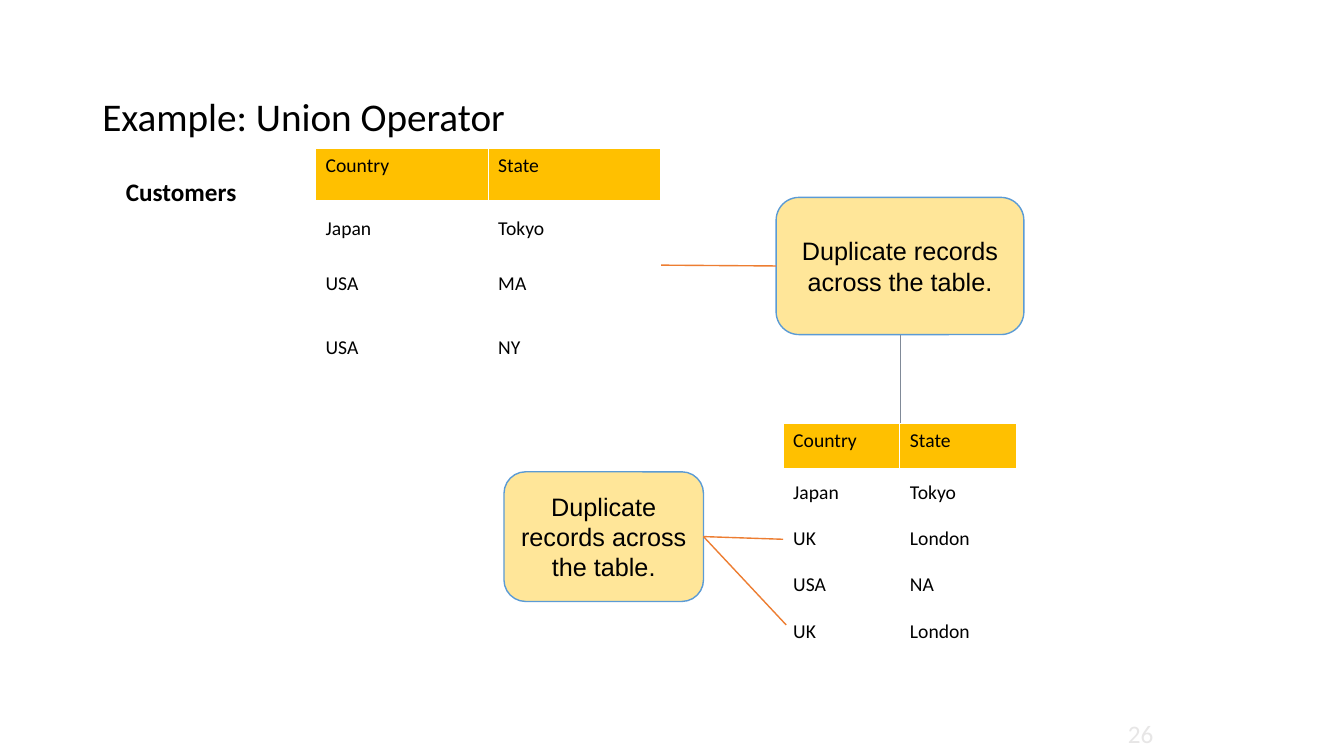
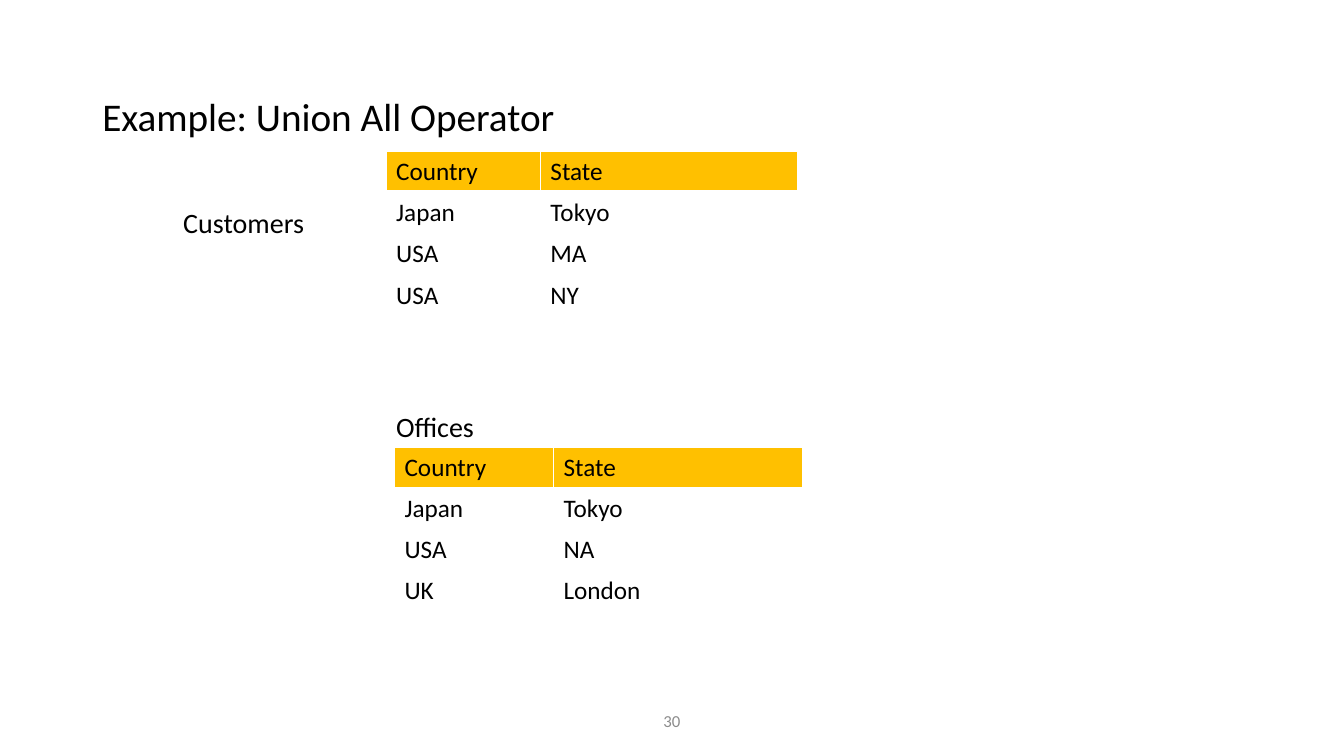
from lxml import etree
from pptx import Presentation
from pptx.dml.color import RGBColor
from pptx.enum.shapes import MSO_CONNECTOR, MSO_SHAPE
from pptx.enum.text import MSO_ANCHOR, PP_ALIGN
from pptx.oxml.ns import qn
from pptx.util import Pt

BLACK = RGBColor(0x00, 0x00, 0x00)
GOLD = RGBColor(0xFF, 0xC0, 0x00)
PALE_GOLD = RGBColor(0xFF, 0xE6, 0x99)
BLUE = RGBColor(0x5B, 0x9B, 0xD5)
ORANGE = RGBColor(0xED, 0x7D, 0x31)
LINE_GRAY = RGBColor(0x80, 0x8A, 0x98)
PAGE_GRAY = RGBColor(0x8C, 0x8C, 0x8C)
PAGE_PALE = RGBColor(0xE7, 0xE6, 0xE6)

LEFT, CENTER, RIGHT = PP_ALIGN.LEFT, PP_ALIGN.CENTER, PP_ALIGN.RIGHT
TOP, MIDDLE = MSO_ANCHOR.TOP, MSO_ANCHOR.MIDDLE
STRAIGHT = MSO_CONNECTOR.STRAIGHT
ROUNDED = MSO_SHAPE.ROUNDED_RECTANGLE

BODY_FONT = "Calibri"
CALLOUT_FONT = "Arial"
TITLE_BOX = (66, 28.8, 828, 108)
COLUMNS = ("Country", "State")
CUSTOMERS = (("Japan", "Tokyo"), ("USA", "MA"), ("USA", "NY"))
OFFICES = (("Japan", "Tokyo"), ("USA", "NA"), ("UK", "London"))
OFFICES_WITH_DUPLICATE = (("Japan", "Tokyo"), ("UK", "London"),
                          ("USA", "NA"), ("UK", "London"))
DUPLICATE_NOTE = "Duplicate records across the table."


def write(frame, text, size, color=BLACK, align=LEFT, font=BODY_FONT, bold=False):
    frame.text = text
    paragraph = frame.paragraphs[0]
    paragraph.alignment = align
    style = paragraph.runs[0].font
    style.name, style.size, style.bold = font, Pt(size), bold
    style.color.rgb = color


def add_label(slide, box, text, size, anchor=TOP, **style):
    frame = slide.shapes.add_textbox(*map(Pt, box)).text_frame
    frame.word_wrap = True
    frame.vertical_anchor = anchor
    write(frame, text, size, **style)


def add_header_borders(cell):
    properties = cell._tc.get_or_add_tcPr()
    for index, (side, width) in enumerate(
            (("lnL", 1), ("lnR", 1), ("lnT", 1), ("lnB", 3))):
        border = etree.Element(qn(f"a:{side}"), w=str(Pt(width)))
        fill = etree.SubElement(border, qn("a:solidFill"))
        etree.SubElement(fill, qn("a:srgbClr"), val="FFFFFF")
        properties.insert(index, border)


def add_records(slide, origin, widths, heights, records, size):
    """Table of countries and states below a gold header."""
    rows = (COLUMNS, *records)
    left, top = origin
    table = slide.shapes.add_table(
        len(rows), len(COLUMNS), Pt(left), Pt(top),
        Pt(sum(widths)), Pt(sum(heights))).table
    table.first_row = table.horz_banding = False
    for column, width in zip(table.columns, widths):
        column.width = Pt(width)
    for row_index, (row, height) in enumerate(zip(rows, heights)):
        table.rows[row_index].height = Pt(height)
        for column_index, text in enumerate(row):
            cell = table.cell(row_index, column_index)
            write(cell.text_frame, text, size)
            if row_index == 0:
                cell.vertical_anchor = TOP
                cell.fill.solid()
                cell.fill.fore_color.rgb = GOLD
                add_header_borders(cell)
            else:
                cell.vertical_anchor = MIDDLE
                cell.fill.background()


def add_callout(slide, box):
    callout = slide.shapes.add_shape(ROUNDED, *map(Pt, box))
    callout.shadow.inherit = False
    callout.fill.solid()
    callout.fill.fore_color.rgb = PALE_GOLD
    callout.line.color.rgb = BLUE
    callout.line.width = Pt(1)
    callout.text_frame.word_wrap = True
    callout.text_frame.vertical_anchor = MIDDLE
    write(callout.text_frame, DUPLICATE_NOTE, 18, align=CENTER, font=CALLOUT_FONT)


def add_link(slide, start, end, color=ORANGE, width=1):
    link = slide.shapes.add_connector(STRAIGHT, *map(Pt, (*start, *end)))
    link.line.color.rgb = color
    link.line.width = Pt(width)
    etree.SubElement(link._element.spPr, qn("a:effectLst"))


def add_example(deck, title):
    """Blank slide with the shared title."""
    slide = deck.slides.add_slide(deck.slide_layouts[6])
    add_label(slide, TITLE_BOX, title, 28, MIDDLE)
    return slide


def build_union(deck):
    slide = add_example(deck, "Example: Union Operator")

    # Customer and office records
    add_records(slide, (225.4, 106), (123.3, 123.3), (38.2, 38.2, 41, 50.4),
                CUSTOMERS, 14)
    add_records(slide, (559.4, 302.4), (83.4, 83.4), (33, 33, 32.4, 33.8, 33.8),
                OFFICES_WITH_DUPLICATE, 14)
    add_label(slide, (82.8, 122.4, 126, 29), "Customers", 18, bold=True)

    # Notes on duplicates, linked to the records
    across = (554.4, 141, 177, 98)
    within = (360, 337, 142.5, 92.6)
    for box in (across, within):
        add_callout(slide, box)
    left, top, width, height = across
    middle = left + width / 2
    add_link(slide, (middle, top + height), (middle, 302.4), LINE_GRAY, 0.75)
    add_link(slide, (left, top + height / 2), (472.3, 189.4))
    left, top, width, height = within
    for record in ((559.4, 385.2), (561.6, 446.4)):
        add_link(slide, record, (left + width, top + height / 2))

    add_label(slide, (759, 509.5, 72, 29), "26", 18, MIDDLE,
              color=PAGE_PALE, align=RIGHT)


def build_union_all(deck):
    slide = add_example(deck, "Example: Union All Operator")

    # Customer and office records
    add_records(slide, (275.8, 108.4), (110.2, 183.6), (29, 29, 29, 31.7),
                CUSTOMERS, 18)
    add_records(slide, (281.8, 319.7), (113.6, 178), (29.2, 29.2, 29.2, 29.2),
                OFFICES, 18)
    add_label(slide, (123.8, 143.3, 126, 31.7), "Customers", 20)
    add_label(slide, (275.8, 288.7, 246, 31.7), "Offices", 20)

    add_label(slide, (318, 500.4, 324, 28.8), "30", 12, MIDDLE,
              color=PAGE_GRAY, align=CENTER)


def main():
    deck = Presentation()
    deck.slide_width, deck.slide_height = Pt(960), Pt(540)
    build_union(deck)
    build_union_all(deck)
    deck.save("out.pptx")


if __name__ == "__main__":
    main()
